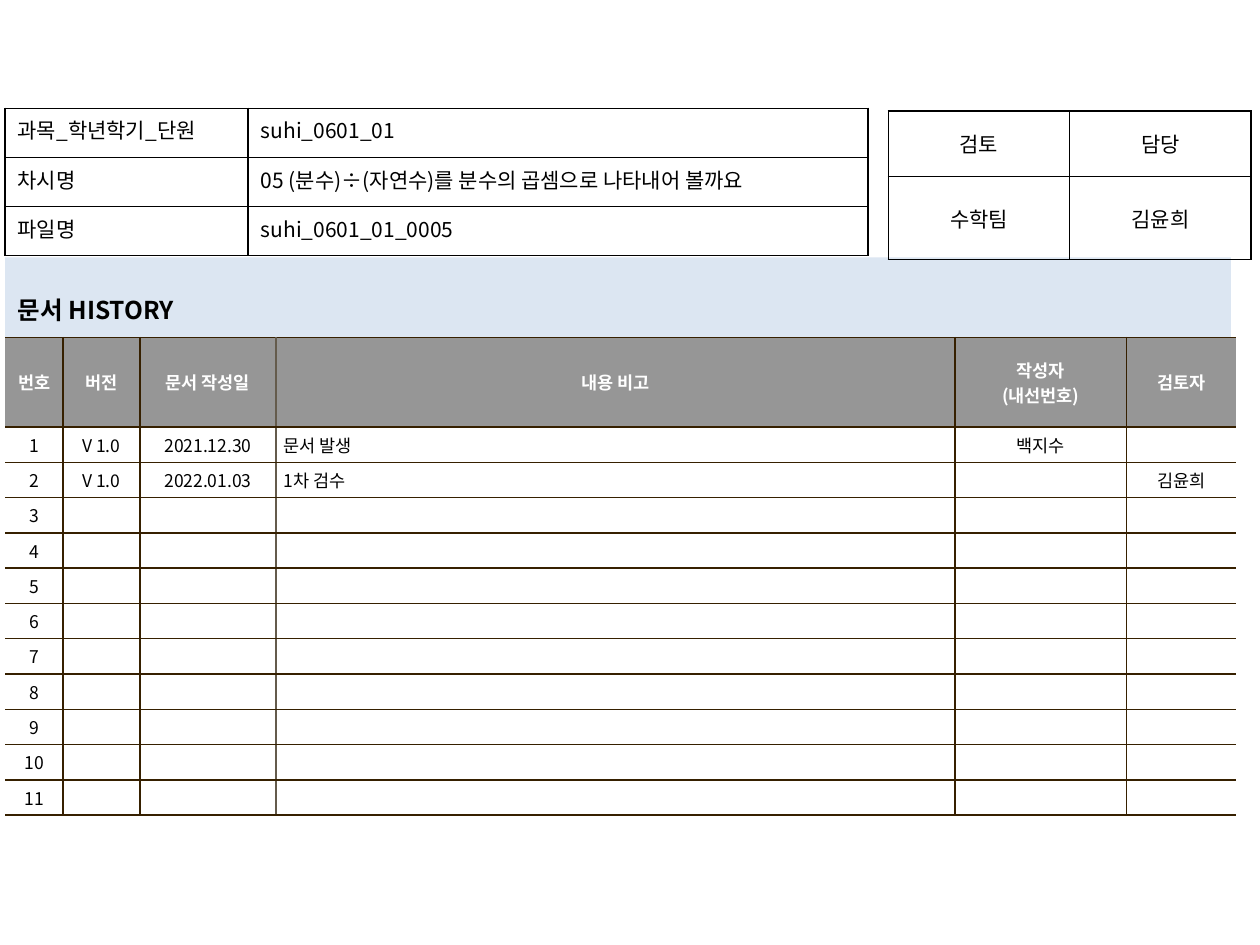
from lxml.etree import SubElement
from pptx import Presentation
from pptx.dml.color import RGBColor
from pptx.enum.text import MSO_ANCHOR, MSO_AUTO_SIZE, PP_ALIGN
from pptx.oxml.ns import qn
from pptx.util import Inches, Pt


def rgb(value):
    """Turn a hex string into a colour."""
    return RGBColor.from_string(value)


class HistoryPage:
    """Hold the style and the current slide of a document history page."""

    FONT = "Noto Sans CJK KR"
    BLACK, WHITE, GRAY, PALE = "000000", "FFFFFF", "969696", "DCE6F2"
    BROWN, TAUPE = "362000", "645B4C"

    def __init__(self, prs):
        """Add a title-only slide."""
        self.slide = prs.slides.add_slide(prs.slide_layouts[5])

    def set_text(self, tf, text, size, color, bold=False, align=PP_ALIGN.LEFT):
        """Fill a text frame and format its paragraphs and runs."""
        tf.text = text
        for p in tf.paragraphs:
            p.alignment = align
            for r in p.runs:
                r.font.size = Pt(size)
                r.font.bold = bold
                r.font.name = self.FONT
                r.font.color.rgb = rgb(color)
                SubElement(r.font._element, qn("a:ea"), typeface=self.FONT)
            if not p.runs:
                SubElement(p._p, qn("a:endParaRPr"), sz=str(size * 100))

    def title(self, text, left, top, width, height):
        """Turn the title placeholder into a filled heading bar."""
        sp = self.slide.shapes.title
        sp.left, sp.top, sp.width, sp.height = map(Inches, (left, top, width, height))
        sp.fill.solid()
        sp.fill.fore_color.rgb = rgb(self.PALE)
        tf = sp.text_frame
        tf.word_wrap = True
        tf.auto_size = MSO_AUTO_SIZE.SHAPE_TO_FIT_TEXT
        tf.vertical_anchor = MSO_ANCHOR.MIDDLE
        self.set_text(tf, text, 14, self.BLACK, True)

    def table(self, left, top, cols, heights):
        """Add a plain table with the given column widths and row heights."""
        box = map(Inches, (left, top, sum(cols), sum(heights)))
        tbl = self.slide.shapes.add_table(len(heights), len(cols), *box).table
        tbl.first_row = tbl.horz_banding = False
        for col, width in zip(tbl.columns, cols):
            col.width = Inches(width)
        for row, height in zip(tbl.rows, heights):
            row.height = Inches(height)
        return tbl

    def cell(self, cell, text, size, color, borders, fill=None, bold=False,
             align=PP_ALIGN.LEFT, anchor=MSO_ANCHOR.MIDDLE, inset=(0.1, 0.05)):
        """Style one cell; borders maps the sides L, R, T, B to colours."""
        tcPr = cell._tc.get_or_add_tcPr()
        for side in "LRTB":
            ln = SubElement(tcPr, qn(f"a:ln{side}"), w=str(Pt(1)))
            if side in borders:
                solid = SubElement(ln, qn("a:solidFill"))
                SubElement(solid, qn("a:srgbClr"), val=borders[side])
            else:
                SubElement(ln, qn("a:noFill"))
        if fill:
            cell.fill.solid()
            cell.fill.fore_color.rgb = rgb(fill)
        else:
            cell.fill.background()
        cell.margin_left = cell.margin_right = Inches(inset[0])
        cell.margin_top = cell.margin_bottom = Inches(inset[1])
        cell.vertical_anchor = anchor
        self.set_text(cell.text_frame, text, size, color, bold, align)

    def info_table(self, left, top, cols, heights, rows, aligns, anchor):
        """Add a fully ruled black table."""
        tbl = self.table(left, top, cols, heights)
        borders = dict.fromkeys("LRTB", self.BLACK)
        for i, row in enumerate(rows):
            for j, text in enumerate(row):
                self.cell(tbl.cell(i, j), text, 12, self.BLACK, borders,
                          align=aligns[j], anchor=anchor)

    def history_table(self, left, top, cols, heights, rows, note_col):
        """Add the history table with a grey header and open outer sides."""
        tbl = self.table(left, top, cols, heights)
        last = len(cols) - 1
        for i, row in enumerate(rows):
            head = i == 0
            for j, text in enumerate(row):
                borders = dict.fromkeys("TB", self.BROWN)
                if j > 0:
                    borders["L"] = self.TAUPE if j == note_col else self.BROWN
                if j < last:
                    borders["R"] = self.TAUPE if j + 1 == note_col else self.BROWN
                note = j == note_col and not head
                self.cell(tbl.cell(i, j), text, 10,
                          self.WHITE if head else self.BLACK, borders,
                          fill=self.GRAY if head else self.WHITE, bold=head,
                          align=PP_ALIGN.LEFT if note else PP_ALIGN.CENTER,
                          inset=(0.06, 0.04))


def main():
    """Build the document history slide."""
    prs = Presentation()
    prs.slide_width, prs.slide_height = Inches(10), Inches(7.5)
    page = HistoryPage(prs)

    entries = [
        ["V 1.0", "2021.12.30", "문서 발생", "백지수", ""],
        ["V 1.0", "2022.01.03", "1차 검수", "", "김윤희"],
    ]
    entries += [[""] * 5] * 9
    history = [["번호", "버전", "문서 작성일", "내용 비고", "작성자\n(내선번호)", "검토자"]]
    history += [[str(n), *entry] for n, entry in enumerate(entries, 1)]
    page.history_table(0.04, 2.68, [0.46, 0.61, 1.08, 5.39, 1.36, 0.87],
                       [0.71] + [0.28] * len(entries), history, note_col=3)

    page.info_table(7.05, 0.88, [1.44, 1.44], [0.52, 0.66],
                    [["검토", "담당"], ["수학팀", "김윤희"]],
                    [PP_ALIGN.CENTER] * 2, MSO_ANCHOR.MIDDLE)

    page.title("문서 HISTORY", 0.04, 2.29, 9.73, 0.34)

    lesson = [
        ["과목_학년학기_단원", "suhi_0601_01"],
        ["차시명", "05 (분수)÷(자연수)를 분수의 곱셈으로 나타내어 볼까요"],
        ["파일명", "suhi_0601_01_0005"],
    ]
    page.info_table(0.04, 0.86, [1.93, 4.92], [0.39] * 3, lesson,
                    [PP_ALIGN.JUSTIFY, PP_ALIGN.LEFT], MSO_ANCHOR.TOP)

    prs.save("out.pptx")


if __name__ == "__main__":
    main()
